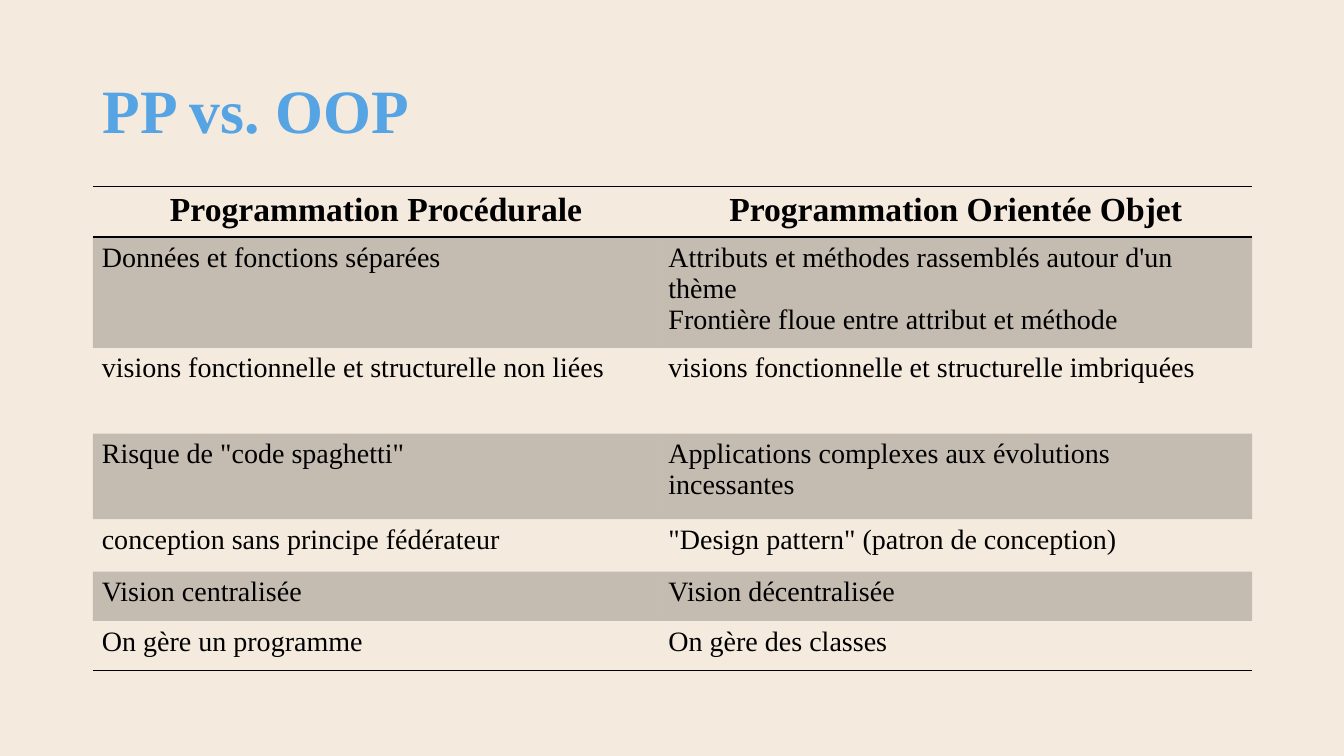
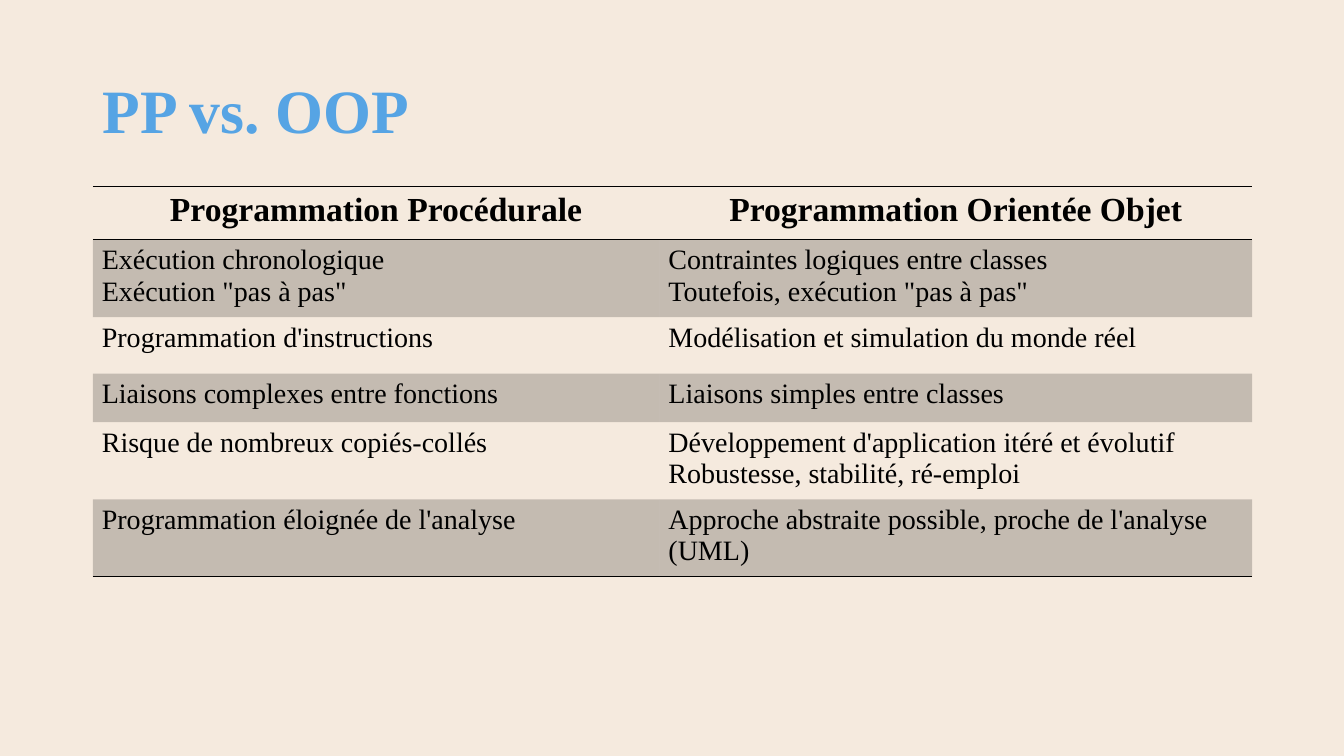
from dataclasses import dataclass

from lxml import etree
from pptx import Presentation
from pptx.dml.color import RGBColor
from pptx.enum.text import MSO_ANCHOR, PP_ALIGN
from pptx.oxml.ns import qn
from pptx.util import Inches, Pt

MIDDLE = MSO_ANCHOR.MIDDLE
LEFT = PP_ALIGN.LEFT
CENTER = PP_ALIGN.CENTER
BLANK_LAYOUT = 6


@dataclass(frozen=True)
class Theme:
    font: str = "Times New Roman"
    background: str = "F5EADE"
    title_color: str = "56A4E4"
    ink: str = "000000"
    band_opacity: int = 20
    title_size: int = 44
    header_size: int = 24
    body_size: int = 20
    rule_width: int = 1


THEME = Theme()
PAGE_WIDTH, PAGE_HEIGHT = 13.33, 7.5
CONTENT_LEFT, CONTENT_WIDTH = 0.92, 11.5
TITLE_TOP, TITLE_HEIGHT = 0.4, 1.45
TABLE_TOP = 1.85
COLUMN_WIDTHS = (5.62, 5.88)
CELL_MARGIN = 0.09

TITLE = "PP vs. OOP"
HEADERS = ("Programmation Procédurale", "Programmation Orientée Objet")
COMPARISONS = (
    (
        (0.45, 0.85, 0.85, 0.85, 0.52, 0.49, 0.49),
        (
            ("Données et fonctions séparées",
             "Attributs et méthodes rassemblés autour d'un thème\n"
             "Frontière floue entre attribut et méthode"),
            ("visions fonctionnelle et structurelle non liées",
             "visions fonctionnelle et structurelle imbriquées"),
            ('Risque de "code spaghetti"',
             "Applications complexes aux évolutions incessantes"),
            ("conception sans principe fédérateur",
             '"Design pattern" (patron de conception)'),
            ("Vision centralisée", "Vision décentralisée"),
            ("On gère un programme", "On gère des classes"),
        ),
    ),
    (
        (0.53, 0.51, 0.56, 0.48, 0.53, 0.55),
        (
            ('Exécution chronologique\nExécution "pas à pas"',
             'Contraintes logiques entre classes\nToutefois, exécution "pas à pas"'),
            ("Programmation d'instructions",
             "Modélisation et simulation du monde réel"),
            ("Liaisons complexes entre fonctions",
             "Liaisons simples entre classes"),
            ("Risque de nombreux copiés-collés",
             "Développement d'application itéré et évolutif\n"
             "Robustesse, stabilité, ré-emploi"),
            ("Programmation éloignée de l'analyse",
             "Approche abstraite possible, proche de l'analyse (UML)"),
        ),
    ),
)


def write_text(frame, text, size, color, bold=False, align=LEFT):
    frame.text = text
    frame.word_wrap = True
    for para in frame.paragraphs:
        para.alignment = align
        for span in para.runs:
            span.font.name = THEME.font
            span.font.size = Pt(size)
            span.font.bold = bold
            span.font.color.rgb = RGBColor.from_string(color)


def add_page(deck):
    page = deck.slides.add_slide(deck.slide_layouts[BLANK_LAYOUT])
    fill = page.background.fill
    fill.solid()
    fill.fore_color.rgb = RGBColor.from_string(THEME.background)
    return page


def add_title(page, text):
    box = page.shapes.add_textbox(
        Inches(CONTENT_LEFT), Inches(TITLE_TOP), Inches(CONTENT_WIDTH), Inches(TITLE_HEIGHT)
    )
    frame = box.text_frame
    write_text(frame, text, THEME.title_size, THEME.title_color, bold=True)
    frame.vertical_anchor = MIDDLE
    frame.paragraphs[0].line_spacing = 0.9


def set_borders(cell, ruled_sides):
    properties = cell._tc.get_or_add_tcPr()
    for side in ("L", "R", "T", "B"):
        line = etree.SubElement(properties, qn(f"a:ln{side}"))
        if side in ruled_sides:
            line.set("w", str(Pt(THEME.rule_width)))
            fill = etree.SubElement(line, qn("a:solidFill"))
            etree.SubElement(fill, qn("a:srgbClr"), val=THEME.ink)
        else:
            line.set("w", "0")
            etree.SubElement(line, qn("a:noFill"))


def set_band(cell, shaded):
    if not shaded:
        cell.fill.background()
        return
    cell.fill.solid()
    cell.fill.fore_color.rgb = RGBColor.from_string(THEME.ink)
    color = cell._tc.tcPr.find(qn("a:solidFill")).find(qn("a:srgbClr"))
    etree.SubElement(color, qn("a:alpha"), val=str(THEME.band_opacity * 1000))


def add_comparison(page, row_heights, body_rows):
    rows = (HEADERS, *body_rows)
    table = page.shapes.add_table(
        len(rows), len(COLUMN_WIDTHS), Inches(CONTENT_LEFT), Inches(TABLE_TOP),
        Inches(CONTENT_WIDTH), Inches(sum(row_heights)),
    ).table
    table.horz_banding = False
    for column, width in zip(table.columns, COLUMN_WIDTHS):
        column.width = Inches(width)
    for index, (height, texts) in enumerate(zip(row_heights, rows)):
        table.rows[index].height = Inches(height)
        is_header = index == 0
        ruled_sides = ("T" if index <= 1 else "") + (
            "B" if index in (0, len(rows) - 1) else ""
        )
        for cell, text in zip(table.rows[index].cells, texts):
            cell.margin_left = cell.margin_right = Inches(CELL_MARGIN)
            write_text(
                cell.text_frame, text,
                THEME.header_size if is_header else THEME.body_size,
                THEME.ink, bold=is_header, align=CENTER if is_header else LEFT,
            )
            set_borders(cell, ruled_sides)
            set_band(cell, shaded=index % 2 == 1)


def main():
    deck = Presentation()
    deck.slide_width = Inches(PAGE_WIDTH)
    deck.slide_height = Inches(PAGE_HEIGHT)
    for row_heights, body_rows in COMPARISONS:
        page = add_page(deck)
        add_title(page, TITLE)
        add_comparison(page, row_heights, body_rows)
    deck.save("out.pptx")


if __name__ == "__main__":
    main()
